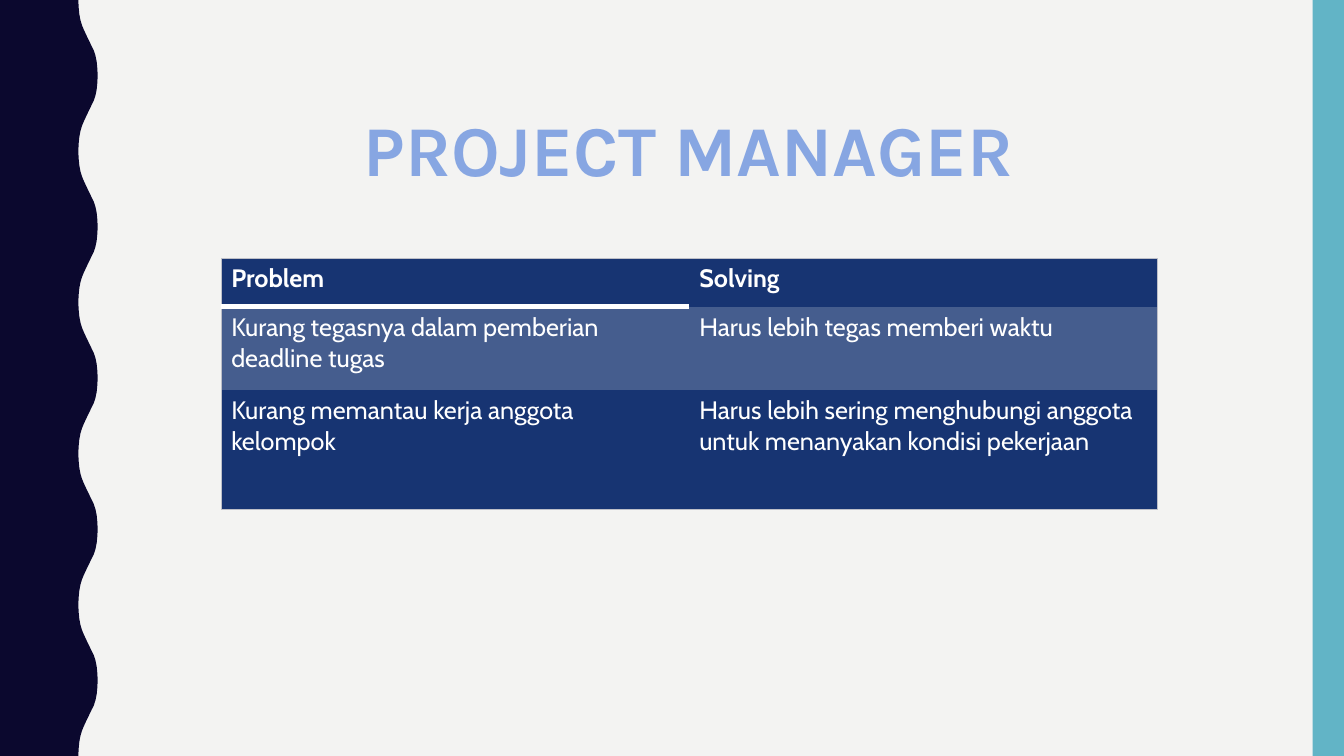
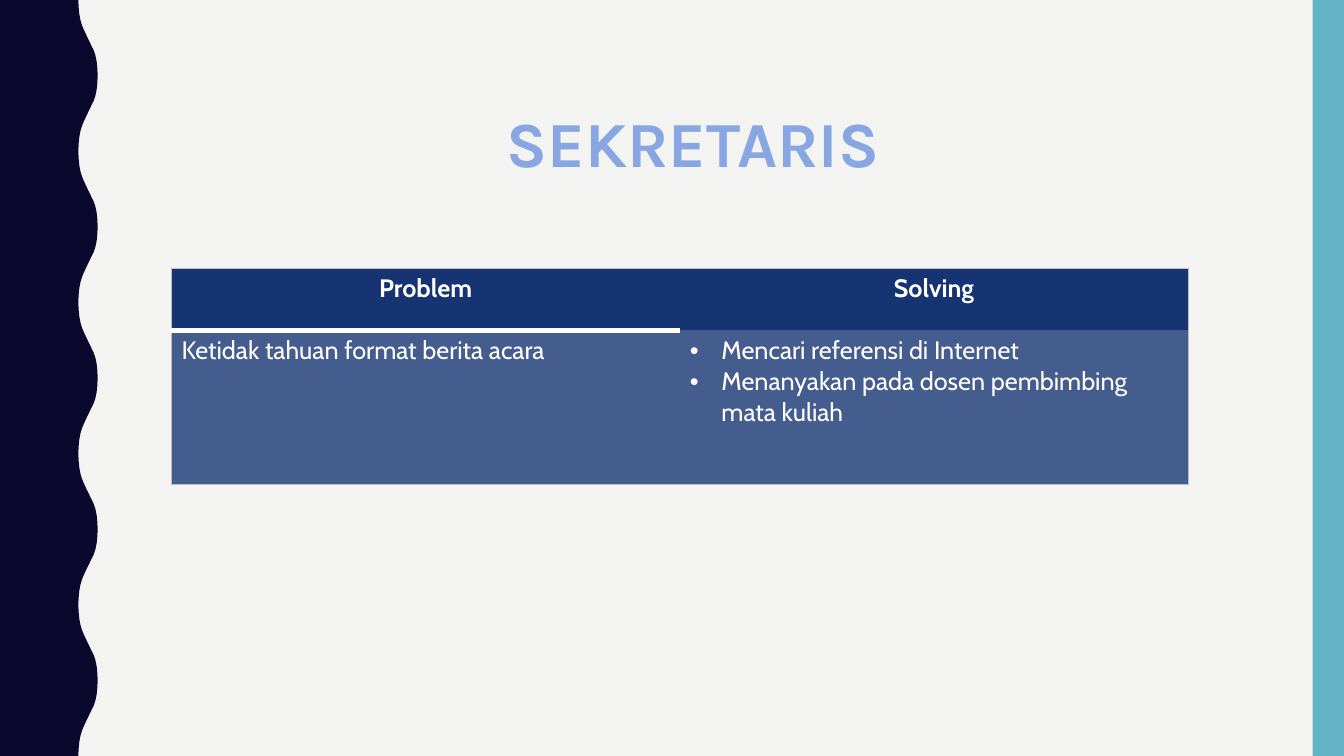
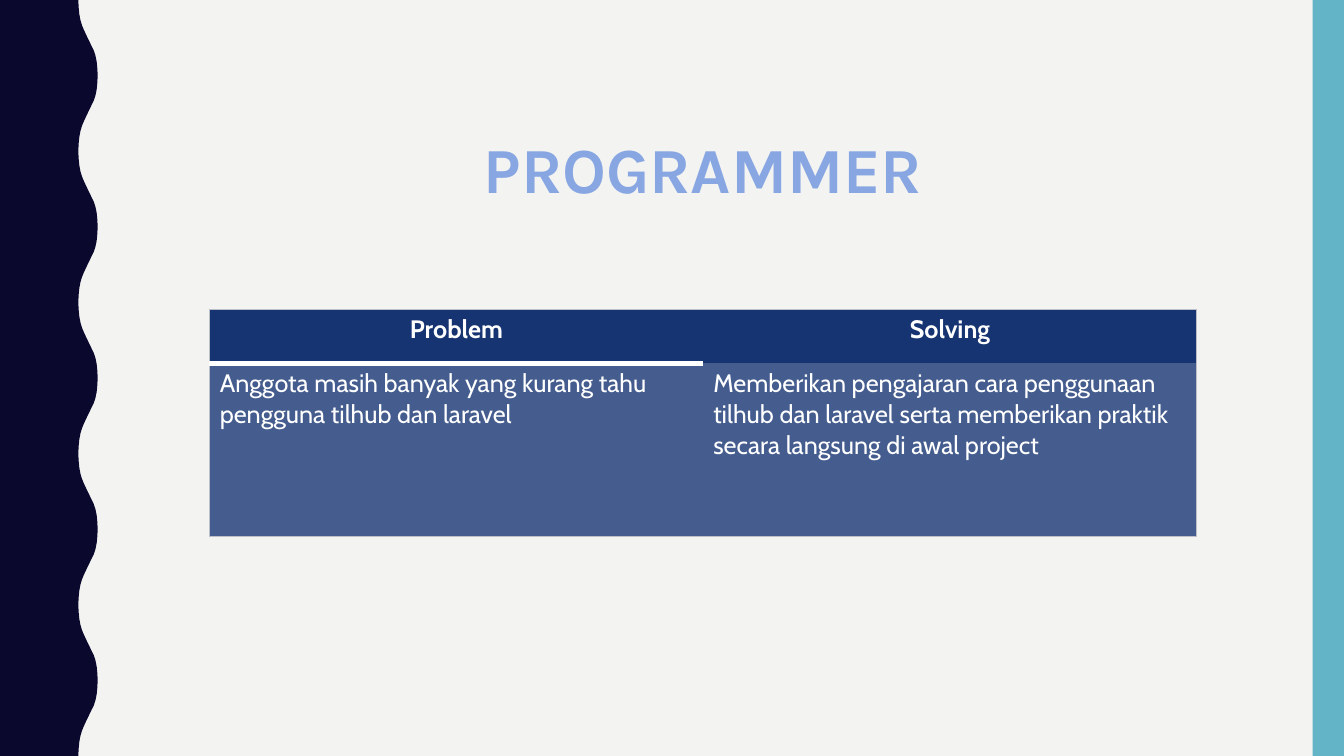
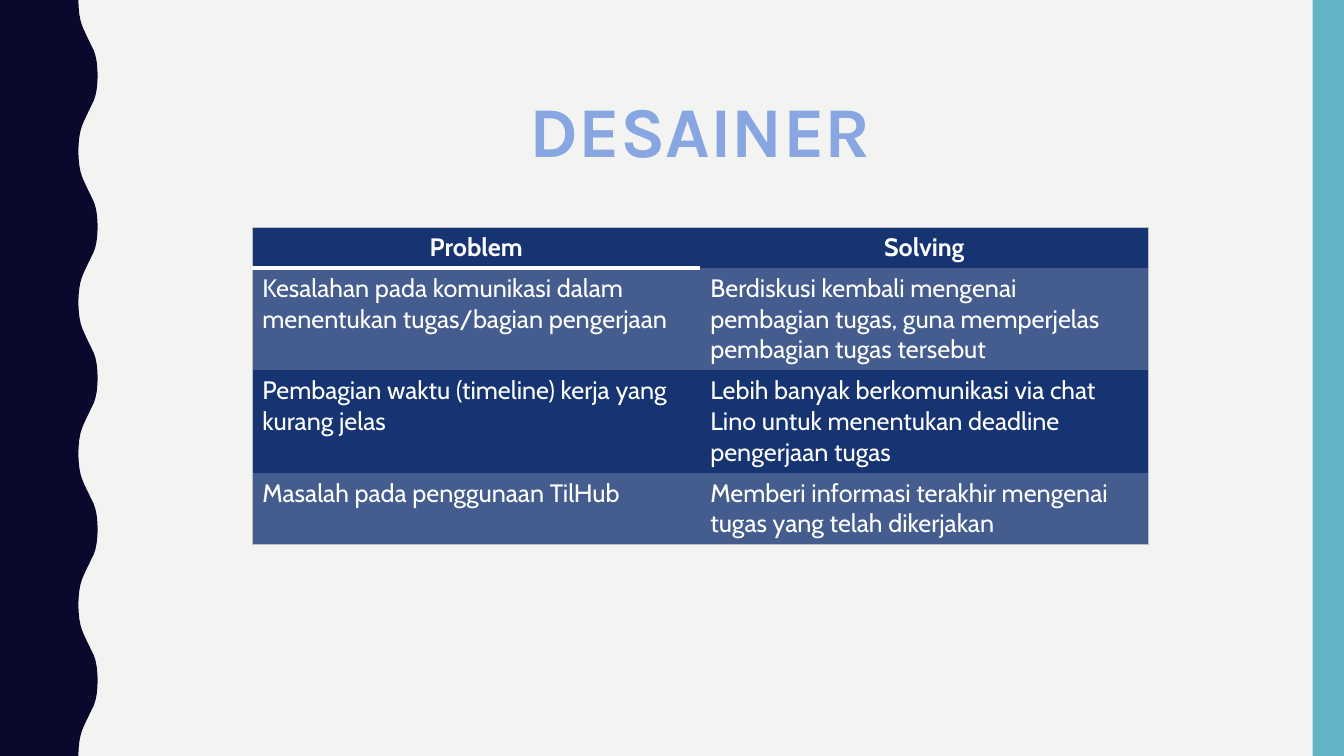
"""Builds four slides of team problems and their solutions."""
from lxml import etree
from pptx import Presentation
from pptx.dml import color
from pptx.enum import shapes, text
from pptx.oxml import ns
from pptx.util import Pt

WIDE, HIGH = 960, 540
PAPER, NIGHT, TEAL = "F3F3F2", "0B082E", "62B4C6"
SKY, EDGE, WHITE, GREY = "87A6E2", "1B376E", "FFFFFF", "BDBFC8"
DARK, LIGHT = "173472", "455D8E"
PLAIN = "{2D5ABB26-0587-4C30-8999-92F81FD0307C}"
LEFT, MID = text.PP_ALIGN.LEFT, text.PP_ALIGN.CENTER
HEAD = ("Problem", "Solving")

WAVE = 108
CURVE = [(56, 0), (56.2, 5), (56.7, 10), (57.5, 14.4), (58.6, 18),
         (59.8, 21), (61.2, 24), (62.6, 27), (64.1, 30), (65.5, 33),
         (67, 36), (68.2, 39.6), (69.1, 44), (69.6, 49), (69.8, 54)]

SLIDES = [
    dict(title="PROJECT MANAGER", size=51, box=(91.4, 78.2, 67),
         grid=(158, 184.6, 668.6), rows=(34.6, 59.4, 85.2), align=LEFT,
         body=[("Kurang tegasnya dalam pemberian deadline tugas",
                "Harus lebih tegas memberi waktu"),
               ("Kurang memantau kerja anggota kelompok",
                "Harus lebih sering menghubungi anggota untuk menanyakan "
                "kondisi pekerjaan")]),
    dict(title="SEKRETARIS", size=45.9, box=(94.3, 76.3, 59.8),
         grid=(122.5, 191.6, 726.2), rows=(44.4, 110), align=MID,
         body=[("Ketidak tahuan format berita acara",
                ["Mencari referensi di Internet",
                 "Menanyakan pada dosen pembimbing mata kuliah"])]),
    dict(title="PROGRAMMER", size=45.9, box=(101.5, 95, 62),
         grid=(149.8, 221, 705), rows=(38.6, 123.6), align=MID,
         body=[("Anggota masih banyak yang kurang tahu pengguna tilhub "
                "dan laravel",
                "Memberikan pengajaran cara penggunaan tilhub dan laravel "
                "serta memberikan praktik secara langsung di awal project")]),
    dict(title="DESAINER", size=51, box=(99.4, 64.8, 62.6),
         grid=(180.2, 162.2, 640), rows=(28.8, 73, 73, 51.2), align=MID,
         body=[("Kesalahan pada komunikasi dalam menentukan tugas/bagian "
                "pengerjaan",
                "Berdiskusi kembali mengenai pembagian tugas, guna "
                "memperjelas pembagian tugas tersebut"),
               ("Pembagian waktu (timeline) kerja yang kurang jelas",
                "Lebih banyak berkomunikasi via chat Lino untuk menentukan "
                "deadline pengerjaan tugas"),
               ("Masalah pada penggunaan TilHub",
                "Memberi informasi terakhir mengenai tugas yang telah "
                "dikerjakan")]),
]


def rgb(code):
    return color.RGBColor.from_string(code)


def paint(part, code):
    part.fill.solid()
    part.fill.fore_color.rgb = rgb(code)


def stroke(tag, code, width):
    line = etree.Element(ns.qn(tag), w=str(Pt(width)))
    fill = etree.SubElement(line, ns.qn("a:solidFill"))
    etree.SubElement(fill, ns.qn("a:srgbClr"), val=code)
    return line


def write(frame, words, size=18, font="Cabin", ink=WHITE, bold=False,
          align=LEFT, lead=1, edge=None):
    bullet = isinstance(words, list)
    for i, line in enumerate(words if bullet else [words]):
        para = frame.add_paragraph() if i else frame.paragraphs[0]
        para.alignment, para.line_spacing = align, lead
        if bullet:
            props = para._p.get_or_add_pPr()
            props.set("marL", str(Pt(22.5)))
            props.set("indent", str(-Pt(22.5)))
            etree.SubElement(props, ns.qn("a:buFont"), typeface="Arial")
            etree.SubElement(props, ns.qn("a:buChar"), char="•")
        run = para.add_run()
        run.text = line
        face = run.font
        face.size, face.name, face.bold = Pt(size), font, bold
        face.color.rgb = rgb(ink)
        if edge:
            run._r.get_or_add_rPr().insert(0, stroke("a:ln", edge, 1.75))


def dress(master, slide):
    paint(master.background, PAPER)
    points = []
    for k in range(HIGH // WAVE):
        points += [(x, k * WAVE + y) for x, y in CURVE]
        points += [(x, (k + 1) * WAVE - y) for x, y in CURVE[-2::-1]]
    path = slide.shapes.build_freeform(0, 0, scale=1.0)
    path.add_line_segments([(Pt(x), Pt(y)) for x, y in points]
                           + [(0, Pt(HIGH))], close=True)
    wave = path.convert_to_shape()
    band = slide.shapes.add_shape(shapes.MSO_SHAPE.RECTANGLE,
                                  Pt(937.6), 0, Pt(22.4), Pt(HIGH))
    tree = master.element.cSld.spTree
    for i, (part, code) in enumerate([(wave, NIGHT), (band, TEAL)]):
        paint(part, code)
        part.line.fill.background()
        part.shadow.inherit = False
        tree.insert(2 + i, part.element)


def name(slide, data):
    title = slide.shapes.title
    left, top, high = data["box"]
    title.left, title.top = Pt(left), Pt(top)
    title.width, title.height = Pt(801.4), Pt(high)
    frame = title.text_frame
    frame.word_wrap = True
    frame.auto_size = text.MSO_AUTO_SIZE.NONE
    frame.vertical_anchor = text.MSO_ANCHOR.TOP
    write(frame, data["title"], size=data["size"], font="Karla", ink=SKY,
          bold=True, align=MID, lead=0.9, edge=EDGE)


def fence(cell, row, col, last):
    lines = [stroke("a:lnR" if col else "a:lnL", GREY, 0.5)]
    if row == 0:
        lines.append(stroke("a:lnT", GREY, 0.5))
        if col == 0:
            lines.append(stroke("a:lnB", WHITE, 4))
    elif row == last:
        lines.append(stroke("a:lnB", GREY, 0.5))
    props = cell._tc.get_or_add_tcPr()
    for i, line in enumerate(lines):
        props.insert(i, line)


def tabulate(slide, data):
    left, top, wide = data["grid"]
    rows = data["rows"]
    frame = slide.shapes.add_table(len(rows), 2, Pt(left), Pt(top),
                                   Pt(wide), Pt(sum(rows)))
    table = frame.table
    table.first_row = table.horz_banding = False
    for style in frame.element.iter(ns.qn("a:tableStyleId")):
        style.text = PLAIN
    for r, (high, line) in enumerate(zip(rows, [HEAD] + data["body"])):
        table.rows[r].height = Pt(high)
        for c, words in enumerate(line):
            cell = table.cell(r, c)
            paint(cell, LIGHT if r % 2 else DARK)
            fence(cell, r, c, len(rows) - 1)
            write(cell.text_frame, words, bold=r == 0,
                  align=LEFT if r else data["align"])


def main():
    deck = Presentation()
    deck.slide_width, deck.slide_height = Pt(WIDE), Pt(HIGH)
    for i, data in enumerate(SLIDES):
        slide = deck.slides.add_slide(deck.slide_layouts[5])
        if i == 0:
            dress(deck.slide_master, slide)
        name(slide, data)
        tabulate(slide, data)
    deck.save("out.pptx")


if __name__ == "__main__":
    main()
